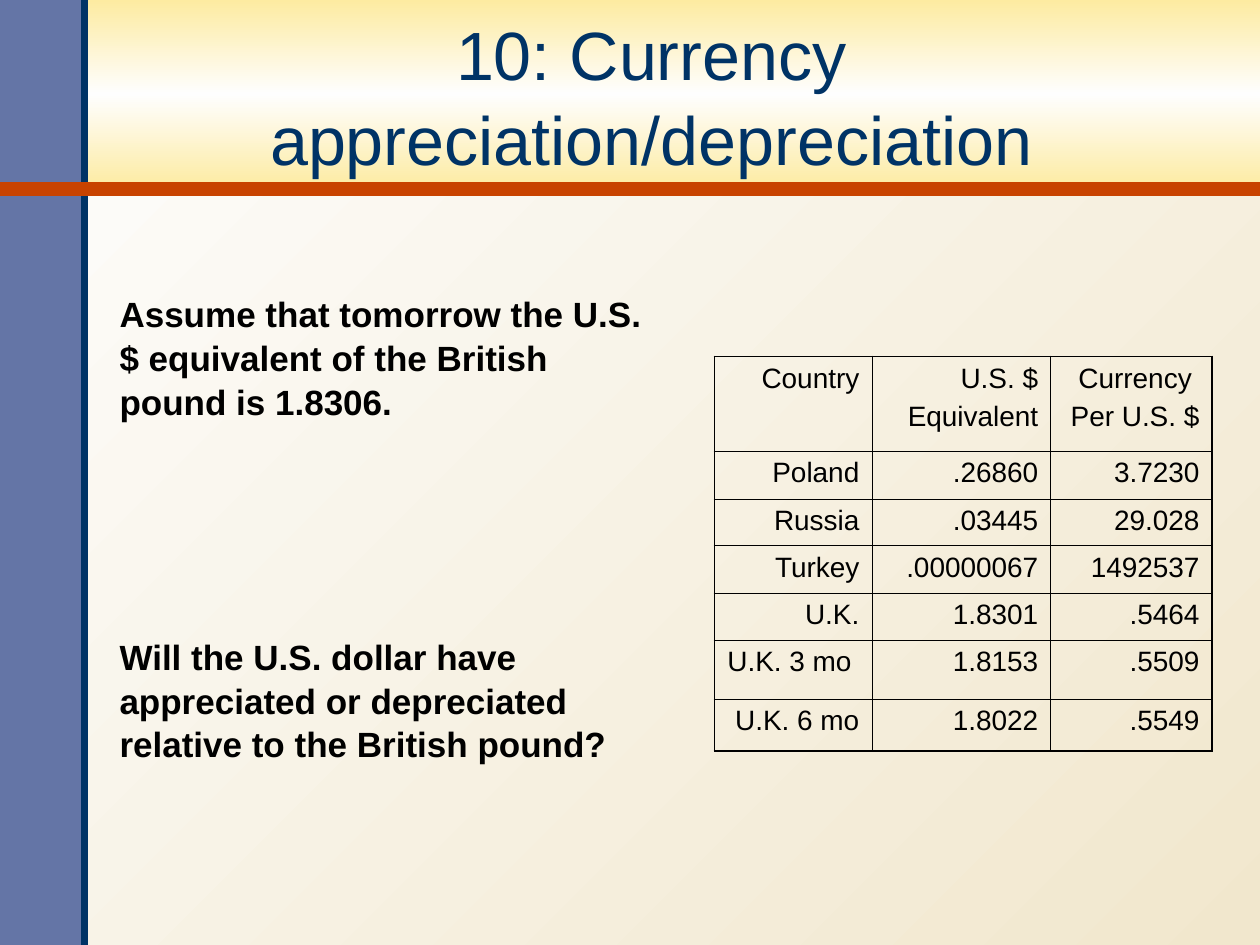
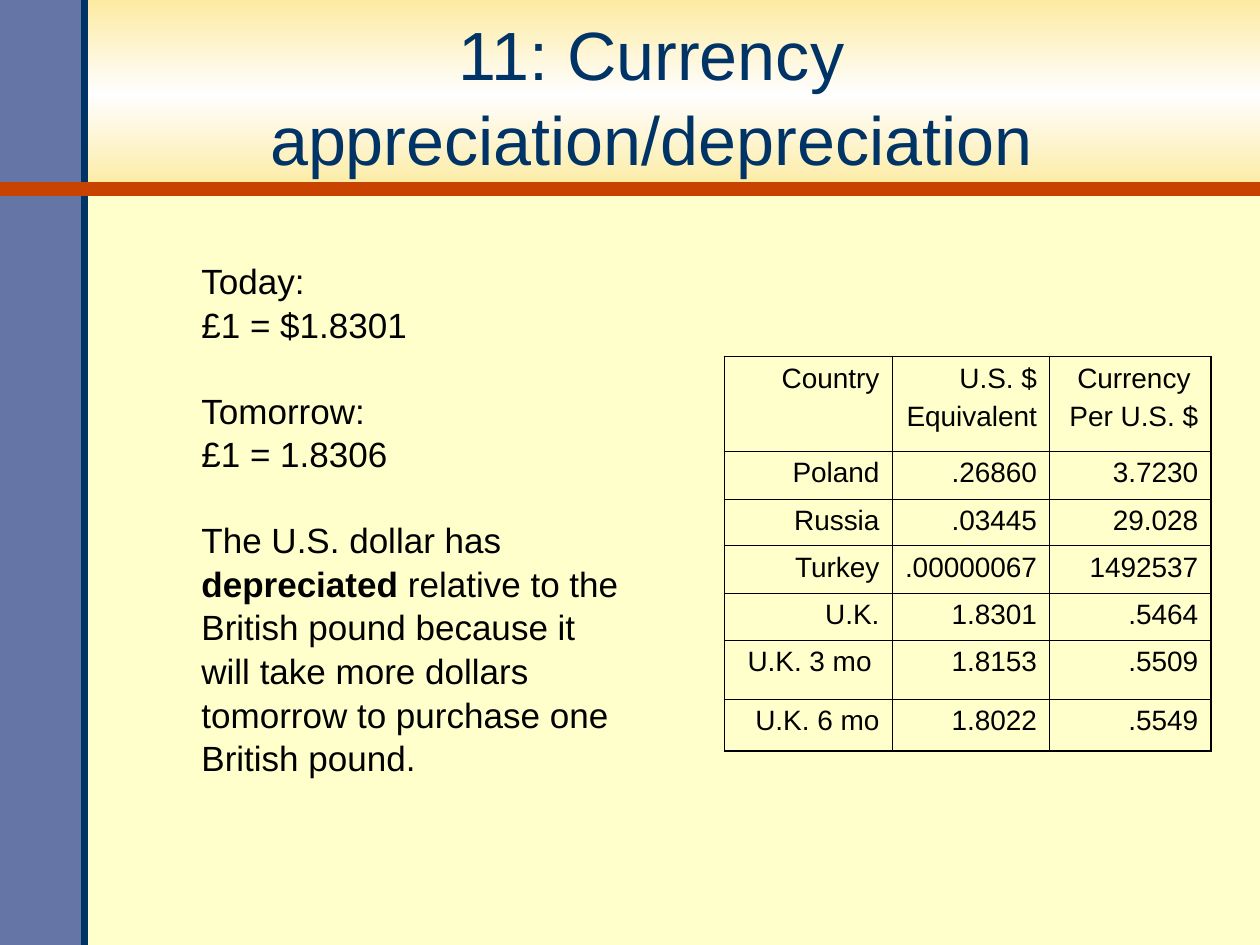
import copy
from dataclasses import dataclass

import pptx
import pptx.dml.color
import pptx.enum.dml
import pptx.enum.shapes
import pptx.enum.text
import pptx.oxml
import pptx.oxml.ns
import pptx.util

Inches, Pt = pptx.util.Inches, pptx.util.Pt
RGB = pptx.dml.color.RGBColor.from_string
ALIGN = pptx.enum.text.PP_ALIGN
ANCHOR = pptx.enum.text.MSO_ANCHOR
qn = pptx.oxml.ns.qn


@dataclass(frozen=True)
class Theme:
    font: str = "Arial"
    width: float = 10
    height: float = 7.5
    band: float = 1.5
    sidebar: float = 0.67
    navy: str = "003366"
    slate: str = "6475A6"
    rust: str = "C84300"
    black: str = "000000"
    gold: str = "FDEBA1"
    white: str = "FEFEFE"
    sand: str = "F1E7CD"
    cream: str = "FFFFCC"
    title_size: int = 39
    body_size: int = 20
    table_size: int = 16
    leading: float = 1.04
    outer_border: float = 1.08
    inner_border: float = 0.45


T = Theme()

RATES = [
    ["Country", "U.S. $\nEquivalent", "Currency \nPer U.S. $"],
    ["Poland", ".26860", "3.7230"],
    ["Russia", ".03445", "29.028"],
    ["Turkey", ".00000067", "1492537"],
    ["U.K.", "1.8301", ".5464"],
    ["U.K. 3 mo ", "1.8153", ".5509"],
    ["U.K. 6 mo", "1.8022", ".5549"],
]
ROW_HEIGHTS = [0.75, 0.38, 0.37, 0.38, 0.37, 0.47, 0.41]


# Fills and lines
def fill_gradient(fill, owner, colors, angle):
    fill.gradient()
    fill.gradient_angle = angle
    stop_list = owner.find(".//" + qn("a:gsLst"))
    while len(stop_list) < len(colors):
        stop_list.append(copy.deepcopy(stop_list[-1]))
    for i, (stop, color) in enumerate(zip(fill.gradient_stops, colors)):
        stop.color.rgb = RGB(color)
        stop.position = i / (len(colors) - 1)
    for stop in stop_list:
        for effect in list(stop[0]):
            stop[0].remove(effect)


def add_rule(s, start, end, color, weight):
    line = s.shapes.add_connector(
        pptx.enum.shapes.MSO_CONNECTOR.STRAIGHT,
        *(Inches(v) for v in (*start, *end)))
    line.line.color.rgb = RGB(color)
    line.line.width = Pt(weight)
    pptx.oxml.ns  # namespace helpers
    line._element.spPr.append(line._element.makeelement(qn("a:effectLst"), {}))


def add_block(s, width, height):
    sp = s.shapes.add_shape(pptx.enum.shapes.MSO_SHAPE.RECTANGLE, 0, 0,
                            Inches(width), Inches(height))
    sp.shadow.inherit = False
    sp.line.fill.background()
    return sp


# Text: a paragraph is (space before, [(text, bold), ...])
def write(tf, paragraphs, size, color=T.black, align=ALIGN.LEFT, leading=None):
    for i, (space, runs) in enumerate(paragraphs):
        p = tf.paragraphs[0] if i == 0 else tf.add_paragraph()
        p.alignment = align
        p.space_before = Pt(space)
        if leading:
            p.line_spacing = leading
        for text, bold in runs:
            r = p.add_run()
            r.text = text
            r.font.name = T.font
            r.font.size = Pt(size)
            r.font.bold = bold
            r.font.color.rgb = RGB(color)


def add_text(s, box, paragraphs, size, top_inset=0.05, anchor=ANCHOR.TOP, **style):
    tf = s.shapes.add_textbox(*(Inches(v) for v in box)).text_frame
    tf.word_wrap = True
    tf.margin_top = Inches(top_inset)
    tf.vertical_anchor = anchor
    write(tf, paragraphs, size, leading=T.leading, **style)


# Exchange-rate table
def set_borders(cell, weights):
    tcPr = cell._tc.get_or_add_tcPr()
    for i, (side, weight) in enumerate(weights.items()):
        tcPr.insert(i, pptx.oxml.parse_xml(
            f'<a:ln{side} {pptx.oxml.ns.nsdecls("a")} w="{Pt(weight)}"><a:solidFill>'
            f'<a:srgbClr val="{T.black}"/></a:solidFill></a:ln{side}>'))


def add_rates_table(s, left, col_widths):
    rows, cols = len(RATES), len(RATES[0])
    table = s.shapes.add_table(
        rows, cols, Inches(left), Inches(2.83),
        Inches(sum(col_widths)), Inches(sum(ROW_HEIGHTS))).table
    table.first_row = table.horz_banding = False
    for col, width in zip(table.columns, col_widths):
        col.width = Inches(width)
    for i, (row, height) in enumerate(zip(table.rows, ROW_HEIGHTS)):
        row.height = Inches(height)
        for j, cell in enumerate(row.cells):
            cell.fill.background()
            lines = RATES[i][j].split("\n")
            write(cell.text_frame,
                  [(4 * (n > 0), [(line, False)]) for n, line in enumerate(lines)],
                  T.table_size, align=ALIGN.RIGHT)
            edges = {"L": j == 0, "R": j == cols - 1, "T": i == 0, "B": i == rows - 1}
            set_borders(cell, {side: T.outer_border if outer else T.inner_border
                               for side, outer in edges.items()})


# Shared frame: title band, sidebar, rules and title
def add_framed_slide(prs, title):
    s = prs.slides.add_slide(prs.slide_layouts[6])
    band = add_block(s, T.width, T.band)
    fill_gradient(band.fill, band._element.spPr, [T.gold, T.white, T.gold], 270)
    sidebar = add_block(s, T.sidebar, T.height)
    sidebar.fill.solid()
    sidebar.fill.fore_color.rgb = RGB(T.slate)
    add_rule(s, (T.sidebar, T.height), (T.sidebar, 0), T.navy, 4)
    add_rule(s, (0, T.band), (T.width, T.band), T.rust, 8)
    add_text(s, (0.65, 0.15, 9.04, 1.2), [(0, [(title, False)])], T.title_size,
             anchor=ANCHOR.MIDDLE, color=T.navy, align=ALIGN.CENTER)
    return s


def add_question_slide(prs):
    s = add_framed_slide(prs, "10: Currency appreciation/depreciation")
    fill_gradient(s.background.fill, s._element, [T.sand, T.white], 135)
    add_text(s, (0.85, 1.81, 4.45, 5.19), [
        (0, [("Assume that tomorrow the U.S.$ equivalent of the British pound "
              "is 1.8306.", True)]),
        (121, [("Will the U.S. dollar have appreciated or depreciated relative "
                "to the British pound?", True)]),
    ], T.body_size, top_inset=0.5)
    add_rates_table(s, 5.67, [1.25, 1.42, 1.28])


def add_answer_slide(prs):
    s = add_framed_slide(prs, "11: Currency appreciation/depreciation")
    s.background.fill.solid()
    s.background.fill.fore_color.rgb = RGB(T.cream)
    add_rates_table(s, 5.75, [1.33, 1.25, 1.28])
    add_text(s, (1.5, 2, 3.52, 5.5), [
        (0, [("Today:", False)]),
        (0, [("£1 = $1.8301", False)]),
        (24, [("Tomorrow:", False)]),
        (0, [("£1 = 1.8306", False)]),
        (24, [("The U.S. dollar has ", False), ("depreciated", True),
              (" relative to the British pound because it will take more dollars "
               "tomorrow to purchase one British pound.", False)]),
    ], T.body_size)


def main():
    prs = pptx.Presentation()
    prs.slide_width, prs.slide_height = Inches(T.width), Inches(T.height)
    add_question_slide(prs)
    add_answer_slide(prs)
    prs.save("out.pptx")


if __name__ == "__main__":
    main()
